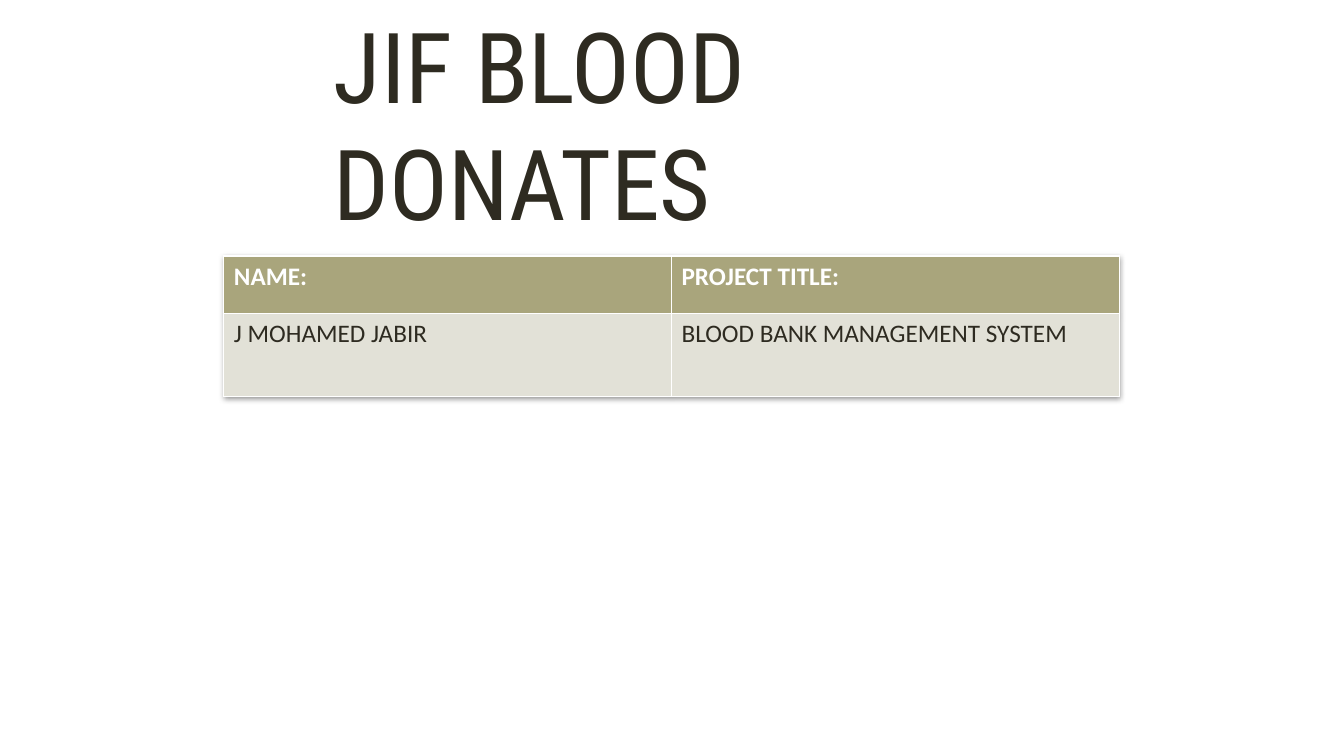
from lxml import etree
from pptx import Presentation
from pptx.dml.color import RGBColor
from pptx.enum.text import MSO_ANCHOR, MSO_AUTO_SIZE, PP_ALIGN
from pptx.oxml import parse_xml
from pptx.oxml.ns import nsdecls, qn
from pptx.util import Inches, Pt

TOP = MSO_ANCHOR.TOP
GROW = MSO_AUTO_SIZE.SHAPE_TO_FIT_TEXT
LEFT = PP_ALIGN.LEFT
COLORS = {"ink": "2E2B21", "white": "FFFFFF", "olive": "A9A57C", "stone": "E2E1D7"}


def add_text(paragraph, text, font_name, size, color, bold=False):
    run = paragraph.add_run()
    run.text = text
    run.font.name = font_name
    run.font.size = Pt(size)
    run.font.bold = bold
    run.font.color.rgb = RGBColor.from_string(COLORS[color])


def add_border(cell, side):
    line = etree.SubElement(cell._tc.get_or_add_tcPr(), qn(f"a:{side}"), w=str(Pt(1)))
    fill = etree.SubElement(line, qn("a:solidFill"))
    etree.SubElement(fill, qn("a:srgbClr"), val=COLORS["white"])


prs = Presentation()
prs.slide_width = Inches(13.33)
prs.slide_height = Inches(7.5)
slide = prs.slides.add_slide(prs.slide_layouts[5])

heading = slide.shapes.title
heading.left, heading.top = Inches(3.21), Inches(0)
heading.width, heading.height = Inches(6.31), Inches(1.28)
heading_frame = heading.text_frame
heading_frame.word_wrap = True
heading_frame.auto_size = GROW
heading_frame.vertical_anchor = TOP
heading_frame.paragraphs[0].alignment = LEFT
add_text(heading_frame.paragraphs[0], "JIF BLOOD DONATES", "Roboto Condensed", 70, "ink")

project_rows = [
    (0.57, "olive", "white", True, [], ["NAME:", "PROJECT TITLE:"]),
    (0.82, "stone", "ink", False, ["lnL", "lnR", "lnB"],
     ["J MOHAMED JABIR", "BLOOD BANK MANAGEMENT SYSTEM"]),
]
project = slide.shapes.add_table(
    2, 2, Inches(2.22), Inches(2.54), Inches(8.89), Inches(1.39)).table
for column in project.columns:
    column.width = Inches(4.44)

for row_index, (height, fill, ink, bold, borders, texts) in enumerate(project_rows):
    project.rows[row_index].height = Inches(height)
    for column_index, text in enumerate(texts):
        cell = project.cell(row_index, column_index)
        for side in borders:
            add_border(cell, side)
        cell.fill.solid()
        cell.fill.fore_color.rgb = RGBColor.from_string(COLORS[fill])
        add_text(cell.text_frame.paragraphs[0], text, "Calibri", 18, ink, bold)

table_shadow = parse_xml(
    f'<a:effectLst {nsdecls("a")}><a:outerShdw blurRad="50800" dist="12700" dir="5400000">'
    '<a:srgbClr val="000000"><a:alpha val="40000"/></a:srgbClr>'
    '</a:outerShdw></a:effectLst>')
project._tbl.tblPr.insert(0, table_shadow)

prs.save("out.pptx")
